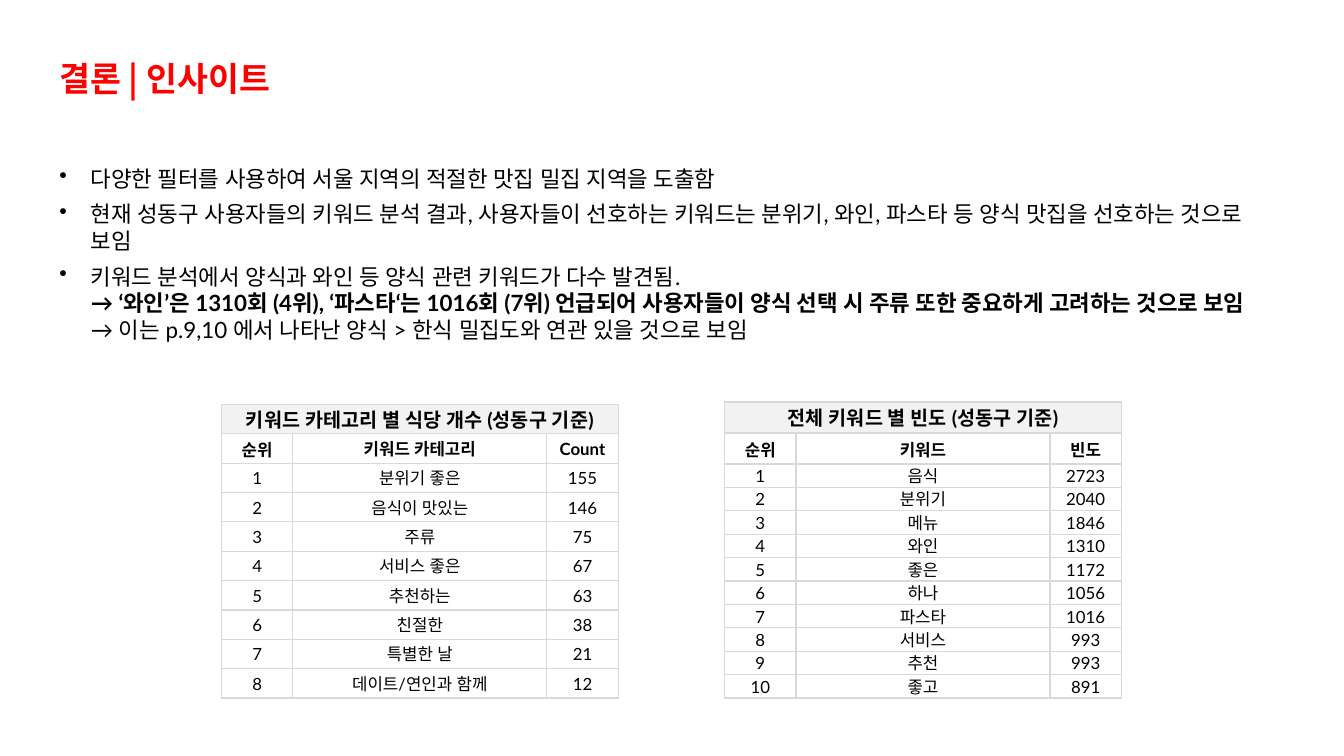
from dataclasses import dataclass

from lxml import etree
from pptx import Presentation
from pptx.dml.color import RGBColor
from pptx.enum.shapes import MSO_SHAPE
from pptx.enum.text import MSO_ANCHOR, PP_ALIGN
from pptx.oxml.ns import qn
from pptx.slide import Slide
from pptx.table import _Cell
from pptx.text.text import _Paragraph
from pptx.util import Cm, Pt

RECTANGLE = MSO_SHAPE.RECTANGLE
TOP, MIDDLE = MSO_ANCHOR.TOP, MSO_ANCHOR.MIDDLE
LEFT, CENTER = PP_ALIGN.LEFT, PP_ALIGN.CENTER

COLORS = {
    "title": "FF0000",
    "text": "000000",
    "background": "FFFFFF",
    "heading": "F2F2F2",
    "border": "D9D9D9",
}
LATO, NOTO = "Lato", "Noto Sans CJK KR"
BULLET_INDENT = Cm(0.79)
COLUMN_WIDTHS = (1.8, 6.4, 1.8)
CELL_FORMAT = {
    "margin_left": Cm(0.02),
    "margin_right": Cm(0.02),
    "margin_top": Cm(0.02),
    "margin_bottom": 0,
    "vertical_anchor": MIDDLE,
}


@dataclass
class TextStyle:
    size: int
    font: str = LATO
    bold: bool = False
    color: str = "text"


@dataclass
class RankTable:
    left: float
    top: float
    heading_height: float
    row_height: float
    heading: str
    columns: tuple[str, str, str]
    column_font: str
    entries: list[tuple[str, int]]


TITLE = TextStyle(24, NOTO, True, "title")
BODY = TextStyle(16)
BODY_BOLD = TextStyle(16, bold=True)
TABLE_HEADING = TextStyle(14, bold=True)
TABLE_ENTRY = TextStyle(12)

# Each bullet is a list of lines
BULLETS = [
    [("다양한 필터를 사용하여 서울 지역의 적절한 맛집 밀집 지역을 도출함", BODY)],
    [("현재 성동구 사용자들의 키워드 분석 결과, 사용자들이 선호하는 키워드는 분위기, "
      "와인, 파스타 등 양식 맛집을 선호하는 것으로 보임", BODY)],
    [
        ("키워드 분석에서 양식과 와인 등 양식 관련 키워드가 다수 발견됨.", BODY),
        ("→ ‘와인’은 1310회 (4위), ‘파스타‘는 1016회 (7위) 언급되어 사용자들이 "
         "양식 선택 시 주류 또한 중요하게 고려하는 것으로 보임", BODY_BOLD),
        ("→ 이는 p.9,10 에서 나타난 양식 > 한식 밀집도와 연관 있을 것으로 보임", BODY),
    ],
]

TABLES = [
    RankTable(
        5.58, 10.19, 0.74, 0.74,
        "키워드 카테고리 별 식당 개수 (성동구 기준)",
        ("순위", "키워드 카테고리", "Count"), LATO,
        [("분위기 좋은", 155), ("음식이 맛있는", 146), ("주류", 75),
         ("서비스 좋은", 67), ("추천하는", 63), ("친절한", 38),
         ("특별한 날", 21), ("데이트/연인과 함께", 12)],
    ),
    RankTable(
        18.26, 10.13, 0.78, 0.59,
        "전체 키워드 별 빈도 (성동구 기준)",
        ("순위", "키워드", "빈도"), NOTO,
        [("음식", 2723), ("분위기", 2040), ("메뉴", 1846), ("와인", 1310),
         ("좋은", 1172), ("하나", 1056), ("파스타", 1016), ("서비스", 993),
         ("추천", 993), ("좋고", 891)],
    ),
]


def rgb(color: str) -> RGBColor:
    return RGBColor.from_string(COLORS[color])


def add_text(paragraph: _Paragraph, text: str, style: TextStyle) -> None:
    """Add a run whose Latin and Korean letters share one font."""
    run = paragraph.add_run()
    run.text = text
    values = {"size": Pt(style.size), "name": style.font, "bold": style.bold}
    for name, value in values.items():
        setattr(run.font, name, value)
    run.font.color.rgb = rgb(style.color)
    etree.SubElement(run.font._element, qn("a:ea"), typeface=style.font)


def add_title(slide: Slide) -> None:
    shape = slide.shapes.add_textbox(Cm(1.25), Cm(1.3), Cm(25.86), Cm(1.32))
    shape.text_frame.word_wrap = True
    shape.text_frame.vertical_anchor = MIDDLE
    add_text(shape.text_frame.paragraphs[0], "결론 | 인사이트", TITLE)


def add_bullets(slide: Slide) -> None:
    shape = slide.shapes.add_shape(RECTANGLE, Cm(1.25), Cm(4.04), Cm(30.53), Cm(10.95))
    shape.shadow.inherit = False
    shape.fill.solid()
    shape.fill.fore_color.rgb = rgb("background")
    shape.line.fill.background()
    frame = shape.text_frame
    frame.word_wrap = True
    frame.vertical_anchor = TOP
    for index, lines in enumerate(BULLETS):
        paragraph = frame.add_paragraph() if index else frame.paragraphs[0]
        properties = paragraph._p.get_or_add_pPr()
        properties.set("marL", str(BULLET_INDENT))
        properties.set("indent", str(-BULLET_INDENT))
        etree.SubElement(properties, qn("a:buChar"), char="•")
        paragraph.alignment = LEFT
        paragraph.space_after = Pt(6)
        for line_index, (text, style) in enumerate(lines):
            if line_index:
                paragraph.add_line_break()
            add_text(paragraph, text, style)


def format_cell(cell: _Cell, fill: str) -> None:
    for name, value in CELL_FORMAT.items():
        setattr(cell, name, value)
    properties = cell._tc.get_or_add_tcPr()
    for side in ("lnL", "lnR", "lnT", "lnB"):
        line = etree.SubElement(properties, qn(f"a:{side}"), w=str(Pt(1)))
        line_fill = etree.SubElement(line, qn("a:solidFill"))
        etree.SubElement(line_fill, qn("a:srgbClr"), val=COLORS["border"])
    cell.fill.solid()
    cell.fill.fore_color.rgb = rgb(fill)


def add_rank_table(slide: Slide, ranking: RankTable) -> None:
    entries = [(str(rank), name, str(count))
               for rank, (name, count) in enumerate(ranking.entries, 1)]
    rows = [(ranking.heading, "", ""), ranking.columns, *entries]
    heights = [ranking.heading_height] * 2 + [ranking.row_height] * len(entries)
    table = slide.shapes.add_table(
        len(rows), len(COLUMN_WIDTHS), Cm(ranking.left), Cm(ranking.top),
        Cm(sum(COLUMN_WIDTHS)), Cm(sum(heights)),
    ).table
    table.first_row = table.horz_banding = False
    for column, width in zip(table.columns, COLUMN_WIDTHS):
        column.width = Cm(width)
    for row_index, (texts, height) in enumerate(zip(rows, heights)):
        table.rows[row_index].height = Cm(height)
        for column_index, text in enumerate(texts):
            cell = table.cell(row_index, column_index)
            format_cell(cell, "background" if row_index else "heading")
            style = TABLE_ENTRY
            if row_index == 0:
                style = TABLE_HEADING
            elif row_index == 1:
                font = ranking.column_font if column_index else NOTO
                style = TextStyle(12, font, True)
            if text:
                paragraph = cell.text_frame.paragraphs[0]
                paragraph.alignment = CENTER
                add_text(paragraph, text, style)
    table.cell(0, 0).merge(table.cell(0, len(COLUMN_WIDTHS) - 1))


def main() -> None:
    presentation = Presentation()
    presentation.slide_width = Cm(33.87)
    presentation.slide_height = Cm(19.05)
    slide = presentation.slides.add_slide(presentation.slide_layouts[6])
    add_title(slide)
    add_bullets(slide)
    for ranking in TABLES:
        add_rank_table(slide, ranking)
    presentation.save("out.pptx")


if __name__ == "__main__":
    main()
